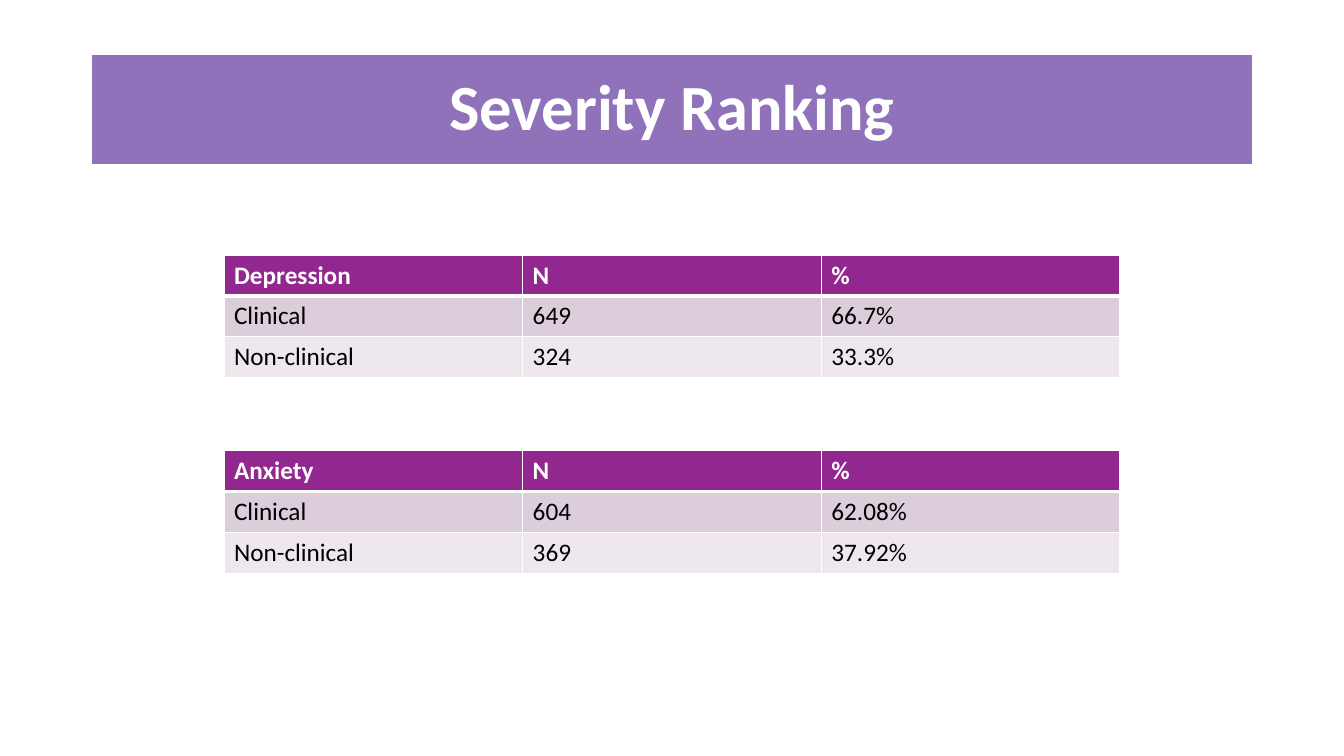
"""Build the Severity Ranking slide with its depression and anxiety tables."""
from lxml.etree import SubElement
from pptx import Presentation
from pptx.dml.color import RGBColor as RGB
from pptx.enum.shapes import MSO_SHAPE as SHAPE
from pptx.enum.text import MSO_ANCHOR as ANCHOR, PP_ALIGN as ALIGN
from pptx.oxml.ns import qn
from pptx.util import Inches, Pt

THEME = {
    "font": "Calibri",
    "banner": "8F72BA",
    "rows": ["92278F", "DCCDDB", "EEE8EE"],
    "light": "FFFFFF",
    "dark": "000000",
    "title": 46,
    "body": 18,
    "border": 1,
    "header_rule": 3,
}
TABLES = [
    [["Depression", "N", "%"],
     ["Clinical", "649", "66.7%"],
     ["Non-clinical", "324", "33.3%"]],
    [["Anxiety", "N", "%"],
     ["Clinical", "604", "62.08%"],
     ["Non-clinical", "369", "37.92%"]],
]


def write(tf, text, size, color, bold=False, align=ALIGN.LEFT, spacing=None):
    p = tf.paragraphs[0]
    p.alignment = align
    p.line_spacing = spacing
    r = p.add_run()
    r.text = text
    r.font.name = THEME["font"]
    r.font.size = Pt(size)
    r.font.bold = bold
    r.font.color.rgb = RGB.from_string(color)


def add_border(cell, side, width):
    ln = SubElement(cell._tc.get_or_add_tcPr(), qn(f"a:ln{side}"), w=str(Pt(width)))
    SubElement(SubElement(ln, qn("a:solidFill")), qn("a:srgbClr"), val=THEME["light"])


prs = Presentation()
prs.slide_width, prs.slide_height = Inches(13.33), Inches(7.5)
W = prs.slide_width
s = prs.slides.add_slide(prs.slide_layouts[6])

banner_w = Inches(11.5)
sp = s.shapes.add_shape(SHAPE.RECTANGLE, (W - banner_w) // 2, Inches(0.55),
                        banner_w, Inches(1.07))
sp.shadow.inherit = False
sp.fill.solid()
sp.fill.fore_color.rgb = RGB.from_string(THEME["banner"])
sp.line.color.rgb = RGB.from_string(THEME["banner"])
sp.line.width = Pt(1)
tf = sp.text_frame
tf.word_wrap = True
tf.vertical_anchor = ANCHOR.MIDDLE
write(tf, "Severity Ranking", THEME["title"], THEME["light"], bold=True,
      align=ALIGN.CENTER, spacing=0.9)

table_w, row_h = W * 2 // 3, Inches(0.405)
top, pitch = Inches(2.53), Inches(1.94)
for i, rows in enumerate(TABLES):
    table = s.shapes.add_table(len(rows), len(rows[0]), (W - table_w) // 2,
                               top + i * pitch, table_w, row_h * len(rows)).table
    for y, row in enumerate(rows):
        header = y == 0
        for x, text in enumerate(row):
            cell = table.cell(y, x)
            for side in "LRTB":
                under_header = (y, side) in [(0, "B"), (1, "T")]
                add_border(cell, side, THEME["header_rule" if under_header else "border"])
            cell.fill.solid()
            cell.fill.fore_color.rgb = RGB.from_string(THEME["rows"][y])
            write(cell.text_frame, text, THEME["body"],
                  THEME["light" if header else "dark"], bold=header)

prs.save("out.pptx")
